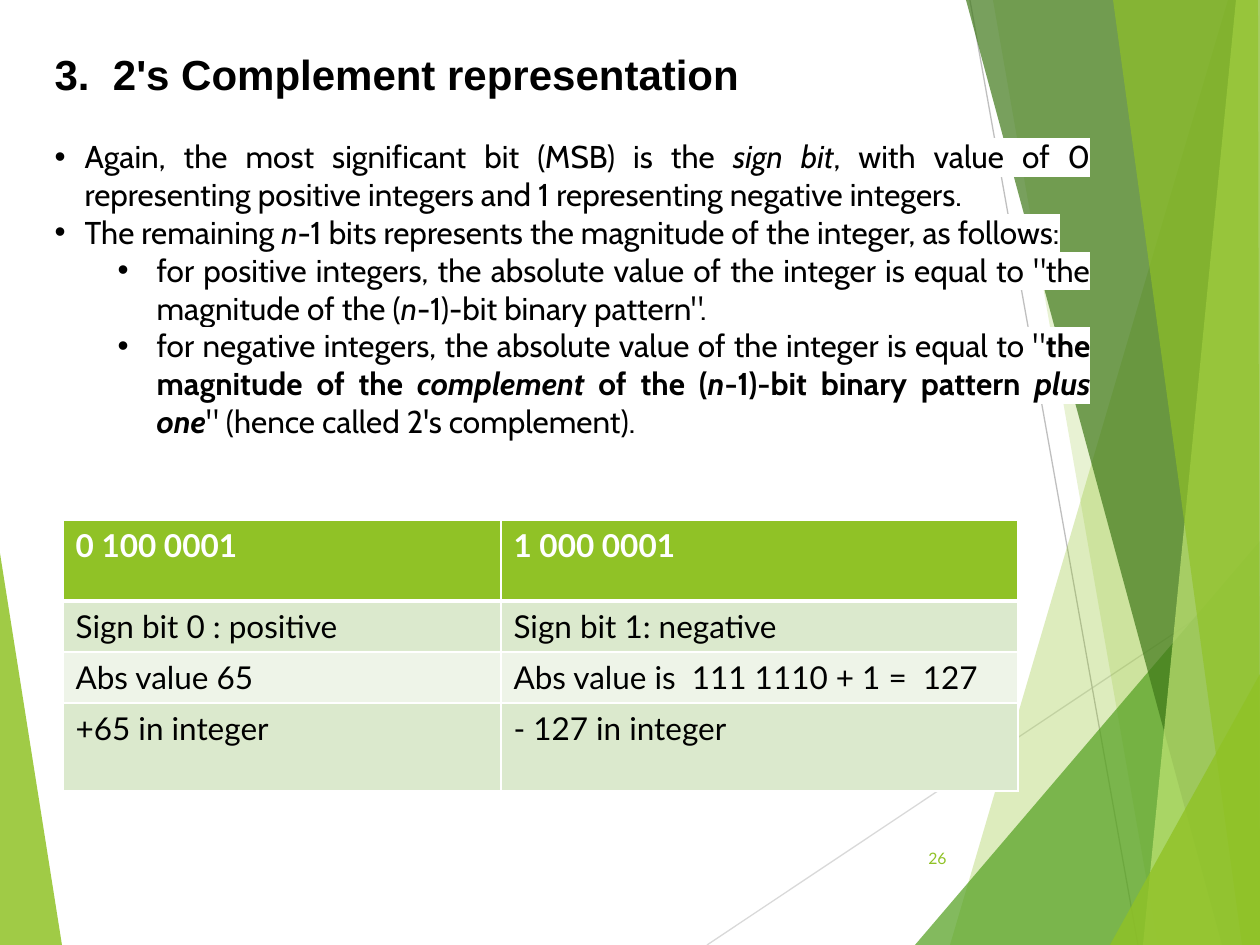
"""Build the slide on 2's complement representation."""
from lxml.etree import SubElement
from pptx import Presentation
from pptx.dml.color import RGBColor
from pptx.enum.shapes import MSO_CONNECTOR
from pptx.enum.text import MSO_ANCHOR, MSO_AUTO_SIZE, PP_ALIGN as Align
from pptx.oxml.ns import qn
from pptx.util import Pt

SCALE = 914400 / 126
WIDTH, HEIGHT = 1260, 945
COLORS = {
    "black": "000000", "white": "FFFFFF", "lime": "90C226", "green": "54A021",
    "forest": "3F7819", "pale": "C0E474", "silver": "D9D9D9", "gray": "BFBFBF",
    "band": "DBE9CD", "light": "EEF4E8",
}
LINES = [("silver", (707, 945), (1260, 576)), ("gray", (970, 0), (1138, 945))]
FACETS = [
    ("lime", 30, [(1228, 0), (950, 945), (1260, 945), (1260, 0)]),
    ("lime", 20, [(993, 0), (1158, 945), (1260, 945), (1260, 0)]),
    ("green", 72, [(915, 945), (1260, 541), (1260, 945)]),
    ("forest", 70, [(966, 0), (1222, 945), (1260, 945), (1260, 0)]),
    ("pale", 70, [(1236, 0), (1143, 945), (1260, 945), (1260, 0)]),
    ("lime", 65, [(1113, 0), (1242, 945), (1260, 945), (1258, 0)]),
    ("lime", 80, [(1110, 945), (1260, 674), (1260, 945)]),
]
LEFT_FACET = ("lime", 85, [(0, 553), (62, 945), (0, 945)])
BULLETS = [
    (0, [("Again, the most significant bit (MSB) is the ", ""), ("sign bit", "i"),
         (", with value of 0 representing positive integers and 1 representing "
          "negative integers.", "")]),
    (0, [("The remaining ", ""), ("n", "i"),
         ("-1 bits represents the magnitude of the integer, as follows:", "")]),
    (1, [("for positive integers, the absolute value of the integer is equal to "
          "\"the magnitude of the (", ""), ("n", "i"), ("-1)-bit binary pattern\".", "")]),
    (1, [("for negative integers, the absolute value of the integer is equal to \"", ""),
         ("the magnitude of the ", "b"), ("complement", "bi"), (" of the (", "b"),
         ("n", "bi"), ("-1)-bit binary pattern ", "b"), ("plus one", "bi"),
         ("\" (hence called 2's complement).", "")]),
]
INDENTS = [(30, -30), (102, -39)]
COLUMNS = [438, 517]
ROWS = [
    (81, "lime", ["0 100 0001", "1 000 0001"]),
    (51, "band", ["Sign bit 0 : positive", "Sign bit 1: negative"]),
    (51, "light", ["Abs value 65", "Abs value is  111 1110 + 1 =  127"]),
    (88, "band", ["+65 in integer", "- 127 in integer"]),
]


def px(value):
    """Turn pixels into EMU."""
    return round(value * SCALE)


def rgb(name):
    """Look up a named colour."""
    return RGBColor.from_string(COLORS[name])


def add_text(para, text, size=18, font="Lato", color="black", bold=False,
             italic=False, highlight=None):
    """Append a formatted run to a paragraph."""
    span = para.add_run()
    span.text = text
    span.font.size = Pt(size)
    span.font.bold, span.font.italic = bold, italic
    span.font.color.rgb = rgb(color)
    span.font.name = font
    if highlight:
        fill = span.font.fill._xPr.find(qn("a:solidFill"))
        mark = SubElement(fill.getparent(), qn("a:highlight"))
        SubElement(mark, qn("a:srgbClr"), val=COLORS[highlight])
        fill.addnext(mark)


def place(shape, box):
    """Move a shape to a box in front of all others."""
    shape.left, shape.top, shape.width, shape.height = map(px, box)
    frame = shape.text_frame
    frame.word_wrap = True
    frame.auto_size = MSO_AUTO_SIZE.NONE
    frame.vertical_anchor = MSO_ANCHOR.TOP
    tree = shape.element.getparent()
    tree.append(shape.element)
    return frame


def add_facet(page, box, color, opacity, points):
    """Draw one translucent polygon."""
    left, top = box[:2]
    corners = [(left + x, top + y) for x, y in points]
    builder = page.shapes.build_freeform(*corners[0], scale=SCALE)
    builder.add_line_segments(corners[1:], close=True)
    facet = builder.convert_to_shape()
    facet.shadow.inherit = False
    facet.line.fill.background()
    facet.fill.solid()
    facet.fill.fore_color.rgb = rgb(color)
    tint = facet.element.spPr.find(qn("a:solidFill"))[0]
    SubElement(tint, qn("a:alpha"), val=str(opacity * 1000))


def add_backdrop(page, box):
    """Draw the facets and thin lines behind the content."""
    left, top = box[:2]
    add_facet(page, box, *LEFT_FACET)
    for color, (x1, y1), (x2, y2) in LINES:
        line = page.shapes.add_connector(
            MSO_CONNECTOR.STRAIGHT, px(left + x1), px(top + y1), px(left + x2), px(top + y2))
        line.line.color.rgb = rgb(color)
        line.line.width = Pt(0.75)
        SubElement(line.element.spPr, qn("a:effectLst"))
    for facet in FACETS:
        add_facet(page, box, *facet)


def fill_title(page, box):
    """Write the heading."""
    para = place(page.shapes.title, box).paragraphs[0]
    para.alignment = Align.LEFT
    add_text(para, "3.  2's Complement representation", size=24, font="Arial",
             bold=True, highlight="white")


def fill_body(page, box):
    """Write the two-level bullet list."""
    frame = place(page.placeholders[1], box)
    for index, (level, spans) in enumerate(BULLETS):
        para = frame.add_paragraph() if index else frame.paragraphs[0]
        para.level = level
        para.alignment = Align.JUSTIFY
        para.space_before = Pt(0)
        margin, indent = INDENTS[level]
        properties = para._p.get_or_add_pPr()
        properties.set("marL", str(px(margin)))
        properties.set("indent", str(px(indent)))
        SubElement(properties, qn("a:buFont"), typeface="Arial")
        SubElement(properties, qn("a:buChar"), char="•")
        for text, style in spans:
            add_text(para, text, font="Cabin", bold="b" in style,
                     italic="i" in style, highlight="white")


def set_borders(cell, widths):
    """Give a cell white borders of the given widths in points."""
    properties = cell._tc.get_or_add_tcPr()
    for position, (side, width) in enumerate(zip("LRTB", widths)):
        edge = SubElement(properties, qn(f"a:ln{side}"), w=str(Pt(width)))
        fill = SubElement(edge, qn("a:solidFill"))
        SubElement(fill, qn("a:srgbClr"), val=COLORS["white"])
        properties.insert(position, edge)


def add_examples(page, box):
    """Add the table of worked examples."""
    table = page.shapes.add_table(len(ROWS), len(COLUMNS), *map(px, box)).table
    for column, width in zip(table.columns, COLUMNS):
        column.width = px(width)
    for number, (height, color, texts) in enumerate(ROWS):
        table.rows[number].height = px(height)
        header = number == 0
        for column, text in enumerate(texts):
            cell = table.cell(number, column)
            cell.fill.solid()
            cell.fill.fore_color.rgb = rgb(color)
            set_borders(cell, (1, 1, 3 if number == 1 else 1, 3 if header else 1))
            add_text(cell.text_frame.paragraphs[0], text, bold=header,
                     color="white" if header else "black")


def add_page_number(page, box):
    """Add the page number."""
    frame = place(page.shapes.add_textbox(0, 0, 0, 0), box)
    frame.vertical_anchor = MSO_ANCHOR.MIDDLE
    para = frame.paragraphs[0]
    para.alignment = Align.RIGHT
    add_text(para, "26", size=9, color="lime")


def main():
    """Build and save the deck."""
    deck = Presentation()
    deck.slide_width, deck.slide_height = px(WIDTH), px(HEIGHT)
    page = deck.slides.add_slide(deck.slide_layouts[1])
    add_backdrop(page, (0, 0, WIDTH, HEIGHT))
    fill_title(page, (42, 42, 1061, 62))
    fill_body(page, (42, 131, 1061, 394))
    add_examples(page, (63, 520, sum(COLUMNS), sum(row[0] for row in ROWS)))
    add_page_number(page, (888, 833, 71, 50))
    deck.save("out.pptx")


if __name__ == "__main__":
    main()
